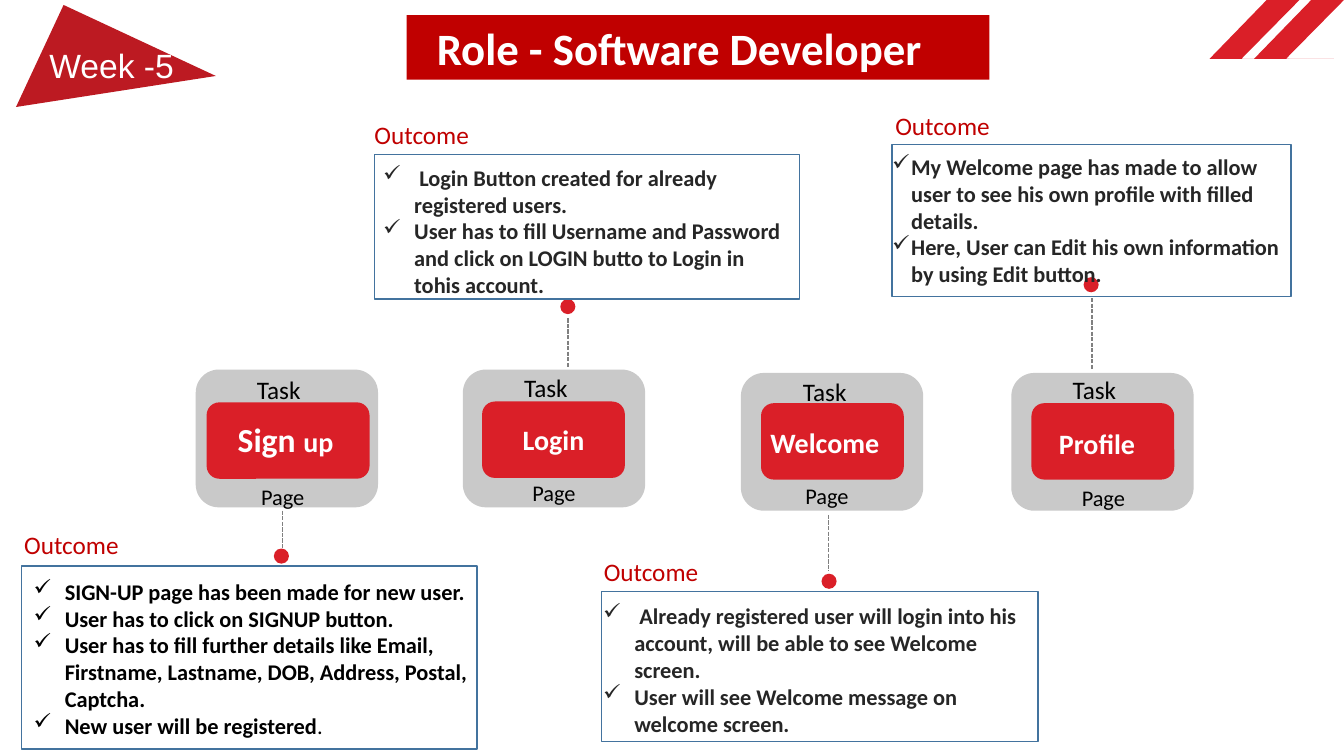
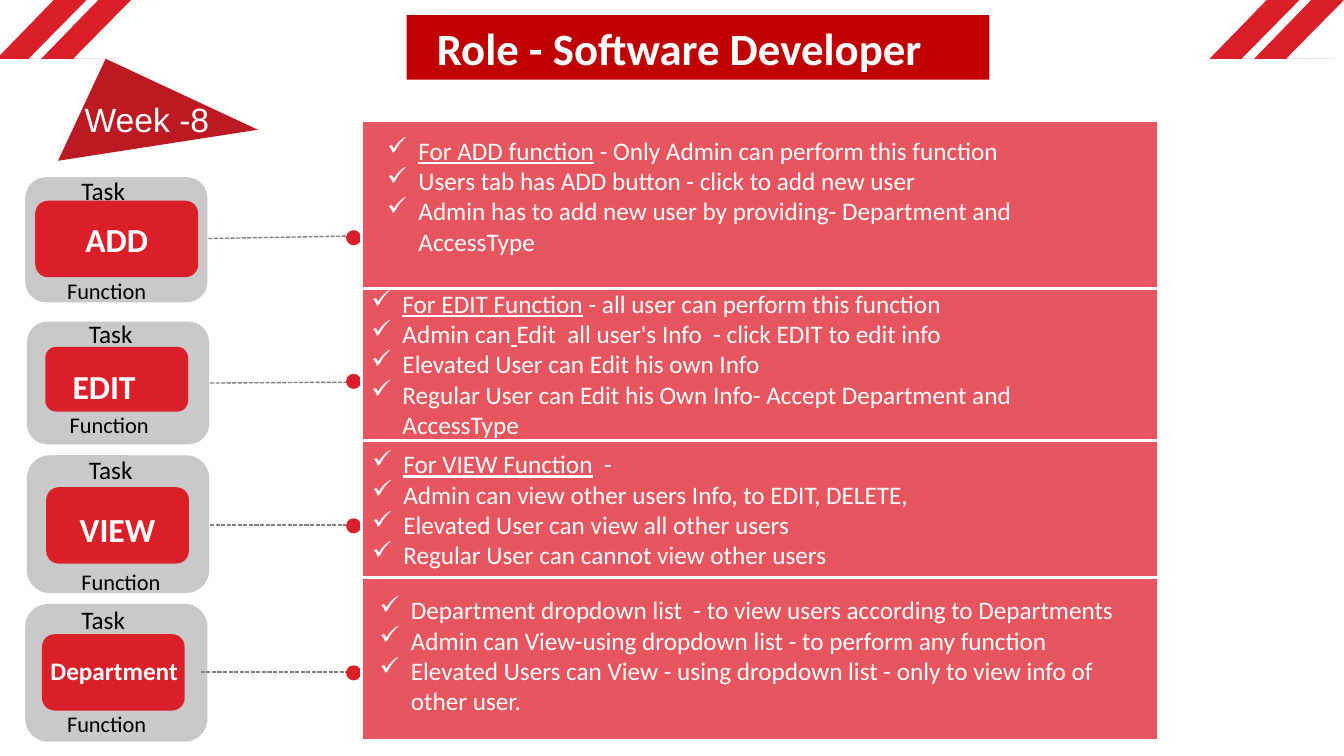
"""Builds two weekly role slides: task cards linked to their outcomes."""
from lxml import etree
from pptx import Presentation
from pptx import util as u
from pptx.dml.color import RGBColor
from pptx.enum import dml, shapes, text
from pptx.oxml.ns import qn

COLUMNS, ROWS = 160, 90
RED, DEEP_RED, FLAG_RED, ROSE = "DA1F28", "C00000", "BC1A22", "E7555F"
GREY, DASH_GREY, BLUE, INK = "C9C9C9", "808080", "43739E", "262626"
WHITE, BLACK = "FFFFFF", "000000"
CARD_WIDTH, DOT = 21.7, 1.8
STRIPE = [(6.8, 0), (10.7, 0), (3.8, 7), (9.5, 7), (0, 7)]
KIND = shapes.MSO_SHAPE


def rgb(code):
    return RGBColor.from_string(code)


def write(frame, paragraphs, size=18, color=BLACK, bold=False, font="Calibri",
          align=text.PP_ALIGN.LEFT, anchor=text.MSO_ANCHOR.TOP,
          margins=None, hang=None):
    frame.word_wrap = True
    frame.vertical_anchor = anchor
    if margins:
        frame.margin_left, frame.margin_top, frame.margin_right = margins
        frame.margin_bottom = 0
    for index, content in enumerate(paragraphs):
        line = frame.add_paragraph() if index else frame.paragraphs[0]
        line.alignment = align
        for part in [content] if isinstance(content, str) else content:
            words, changes = (part, {}) if isinstance(part, str) else part
            run = line.add_run()
            run.text = words
            run.font.name = font
            run.font.color.rgb = rgb(color)
            run.font.size = u.Pt(changes.get("size", size))
            run.font.bold = changes.get("bold", bold)
            run.font.underline = changes.get("underline", False)
        if hang:
            props = line._p.get_or_add_pPr()
            props.set("marL", str(u.Inches(hang)))
            props.set("indent", str(-u.Inches(hang)))
            etree.SubElement(props, qn("a:buChar")).set("char", "✓")


class Deck:
    """Holds the shared style and the slide being drawn."""

    def __init__(self):
        self.deck = Presentation()
        self.deck.slide_width = u.Inches(13.333)
        self.deck.slide_height = u.Inches(7.5)
        self.slide = None

    def x(self, columns):
        return round(self.deck.slide_width * columns / COLUMNS)

    def y(self, rows):
        return round(self.deck.slide_height * rows / ROWS)

    def area(self, left, top, width, height):
        return self.x(left), self.y(top), self.x(width), self.y(height)

    def margins(self, left, top, right):
        return self.x(left), self.y(top), self.x(right)

    def paint(self, shape, fill=None, line=None, weight=1):
        shape.shadow.inherit = False
        if fill:
            shape.fill.solid()
            shape.fill.fore_color.rgb = rgb(fill)
        else:
            shape.fill.background()
        if line:
            shape.line.color.rgb = rgb(line)
            shape.line.width = u.Pt(weight)
        else:
            shape.line.fill.background()
        return shape

    def block(self, kind, spot, **look):
        shape = self.slide.shapes.add_shape(kind, *self.area(*spot))
        return self.paint(shape, **look)

    def label(self, words, left, top, width=15, **style):
        box = self.slide.shapes.add_textbox(*self.area(left, top, width, 4.8))
        write(box.text_frame, [words], **style)

    def stripes(self, left):
        for start in (left, left + 5.3):
            points = [(self.x(start + across), self.y(down)) for across, down in STRIPE]
            outline = self.slide.shapes.build_freeform(*points[0])
            outline.add_line_segments(points[1:], close=True)
            self.paint(outline.convert_to_shape(), fill=RED)

    def flag(self, words, left, top, text_left):
        pennant = self.block(KIND.RIGHT_TRIANGLE, (left, top, 20, 13.4), fill=FLAG_RED)
        pennant.rotation = 25
        pennant._element.spPr.find(qn("a:xfrm")).set("flipV", "1")
        self.label(words, text_left, top + 0.6, 24, size=24, color=WHITE, font="Arial")

    def page(self, week, flag, stripes):
        self.slide = self.deck.slides.add_slide(self.deck.slide_layouts[6])
        for left in stripes:
            self.stripes(left)
        banner = self.block(KIND.RECTANGLE, (48.4, 1.8, 69.4, 7.7), fill=DEEP_RED)
        write(banner.text_frame, ["Role - Software Developer"], size=32, color=WHITE,
              bold=True, anchor=text.MSO_ANCHOR.MIDDLE, margins=self.margins(3.6, 0, 0))
        self.flag(week, *flag)

    def card(self, name, size, outer, inner, task, foot, footer, nudge=(0, 0)):
        left, top, height = outer
        across, down = nudge
        self.block(KIND.ROUNDED_RECTANGLE, (left, top, CARD_WIDTH, height), fill=GREY)
        button = self.block(KIND.ROUNDED_RECTANGLE, inner, fill=RED)
        write(button.text_frame, [name], size=size, color=WHITE, bold=True,
              align=text.PP_ALIGN.CENTER, anchor=text.MSO_ANCHOR.MIDDLE,
              margins=self.margins(max(0, 2 * across), 2 * down, max(0, -2 * across)))
        self.label("Task", *task)
        self.label(footer, *foot, size=16)

    def link(self, start, end, dot):
        dash = self.slide.shapes.add_connector(
            shapes.MSO_CONNECTOR.STRAIGHT, self.x(start[0]), self.y(start[1]),
            self.x(end[0]), self.y(end[1]))
        dash.line.color.rgb = rgb(DASH_GREY)
        dash.line.width = u.Pt(1)
        dash.line.dash_style = dml.MSO_LINE.SQUARE_DOT
        etree.SubElement(dash._element.spPr, qn("a:effectLst"))
        self.block(KIND.OVAL, (*dot, DOT, DOT), fill=RED)

    def checklist(self, spot, items, margins, look, hang=0.31, **style):
        panel = self.block(KIND.RECTANGLE, spot, **look)
        write(panel.text_frame, items, margins=self.margins(*margins), hang=hang, **style)


def under(words):
    return words, {"underline": True}


PAGES = [
    dict(name=[("Sign ", {"size": 24}), "up"], size=20, outer=(23.3, 44, 16.4),
         inner=(24.6, 47.9, 19.4, 9.1), task=(29.4, 44), foot=(29.9, 56.9),
         nudge=(-0.3, -0.2)),
    dict(name="Login", size=20, outer=(55.1, 44, 16.4), inner=(57.4, 47.8, 17, 9.1),
         task=(61.2, 43.7), foot=(62.2, 56.5)),
    dict(name="Welcome", size=20, outer=(88.2, 44.4, 16.4), inner=(90.6, 48, 17, 9.1),
         task=(94.4, 44.2), foot=(94.7, 56.8), nudge=(-0.9, 0.1)),
    dict(name="Profile", size=20, outer=(120.4, 44.4, 16.4), inner=(122.8, 48, 17, 9.1),
         task=(126.5, 44), foot=(127.6, 57), nudge=(-0.7, 0.2)),
]
PAGE_LINKS = [
    ((33.6, 60.8), (33.6, 65.6), (32.6, 65.3)),
    ((67.6, 37.9), (67.6, 43.7), (66.7, 35.6)),
    ((98.6, 61.3), (98.6, 68), (97.8, 68.3)),
    ((130, 35.5), (130, 44), (129, 33)),
]
OUTCOMES = [
    ((1.7, 62.4), dict(
        spot=(2.6, 67.4, 54.2, 21.8), margins=(1.4, 1.4, 0.8), color=BLACK,
        items=["SIGN-UP page has been made for new user.",
               "User has to click on SIGNUP button.",
               "User has to fill further details like Email, Firstname, Lastname, "
               "DOB, Address, Postal, Captcha.",
               ["New user will be registered", (".", {"bold": False})]])),
    ((43.4, 13.6), dict(
        spot=(44.6, 18.4, 50.6, 17.2), margins=(1, 1.1, 1.2), color=INK,
        items=[" Login Button created for already registered users.",
               "User has to fill Username and Password and click on LOGIN butto "
               "to Login in tohis account."])),
    ((70.7, 65.6), dict(
        spot=(71.6, 70.4, 52, 17.9), margins=(0.2, 1.3, 0.7), color=INK,
        items=[" Already registered user will login into his account, will be able "
               "to see Welcome screen.",
               "User will see Welcome message on welcome screen."])),
    ((105.4, 12.6), dict(
        spot=(106.2, 17.2, 47.5, 18.1), margins=(0, 1, 1), color=INK, hang=0.19,
        items=["My Welcome page has made to allow user to see his own profile with "
               "filled details.",
               "Here, User can Edit his own information by using Edit button."])),
]
FUNCTIONS = [
    dict(name="ADD", size=24, outer=(3, 21.1, 14.9), inner=(4.2, 23.9, 19.4, 9.1),
         task=(8.5, 20.3), foot=(6.8, 32.4)),
    dict(name="EDIT", size=24, outer=(3.2, 38.3, 14.6), inner=(5.4, 41.3, 17, 7.7),
         task=(9.4, 37.3), foot=(7.1, 48.4), nudge=(-1.5, 0.8)),
    dict(name="VIEW", size=24, outer=(3.2, 54.2, 16.4), inner=(5.5, 58, 17, 9.1),
         task=(9.4, 53.5), foot=(8.5, 67), nudge=(0, 0.4)),
    dict(name="Department", size=18, outer=(3, 71.9, 16.4), inner=(5, 75.5, 17, 9.1),
         task=(8.5, 71.4), foot=(6.8, 83.9), nudge=(0.1, -0.2)),
]
FUNCTION_LINKS = [
    ((24.8, 28.4), (41.9, 28.1), (41.2, 27.4)),
    ((25, 45.6), (41.9, 45.5), (41.2, 44.5)),
    ((25, 62.5), (41.2, 62.5), (41.2, 61.7)),
    ((23.9, 80), (41.6, 80), (41.2, 79.2)),
]
RIGHTS = [
    (19.9, (3.1, 1.7, 3.1), [
        [under("For ADD function"), " - Only Admin can perform this function"],
        "Users tab has ADD button - click to add new user",
        "Admin has to add new user by providing- Department and AccessType"]),
    (18.1, (1.2, 0, 4.1), [
        [under("For EDIT Function"), " - all user can perform this function"],
        ["Admin can", under(" "), "Edit  all user's Info  - click EDIT to edit info"],
        "Elevated User can Edit his own Info",
        "Regular User can Edit his Own Info- Accept Department and AccessType"]),
    (16.4, (1.3, 1, 3.1), [
        [under("For VIEW Function"), "  -"],
        "Admin can view other users Info, to EDIT, DELETE,",
        "Elevated User can view all other users",
        "Regular User can cannot view other users"]),
    (19.4, (2.2, 2, 1.9), [
        "Department dropdown list  - to view users according to Departments",
        "Admin can View-using dropdown list - to perform any function",
        "Elevated Users can View - using dropdown list - only to view info of other user."]),
]


def main():
    deck = Deck()

    deck.page("Week -5", flag=(3.8, 4.2, 4.7), stripes=[144])
    for card in PAGES:
        deck.card(footer="Page", **card)
    for link in PAGE_LINKS:
        deck.link(*link)
    for heading, outcome in OUTCOMES:
        deck.label("Outcome", *heading, color=DEEP_RED)
        deck.checklist(look=dict(line=BLUE), size=16, bold=True, **outcome)

    deck.page("Week -8", flag=(8.8, 10.6, 8.9), stripes=[-0.4, 144])
    for card in FUNCTIONS:
        deck.card(footer="Function", **card)
    for link in FUNCTION_LINKS:
        deck.link(*link)
    top = 14.4
    for height, margins, items in RIGHTS:
        deck.checklist((43, top, 94.9, height), items, margins,
                       dict(fill=ROSE, line=WHITE, weight=2), color=WHITE)
        top += height

    deck.deck.save("out.pptx")


if __name__ == "__main__":
    main()
